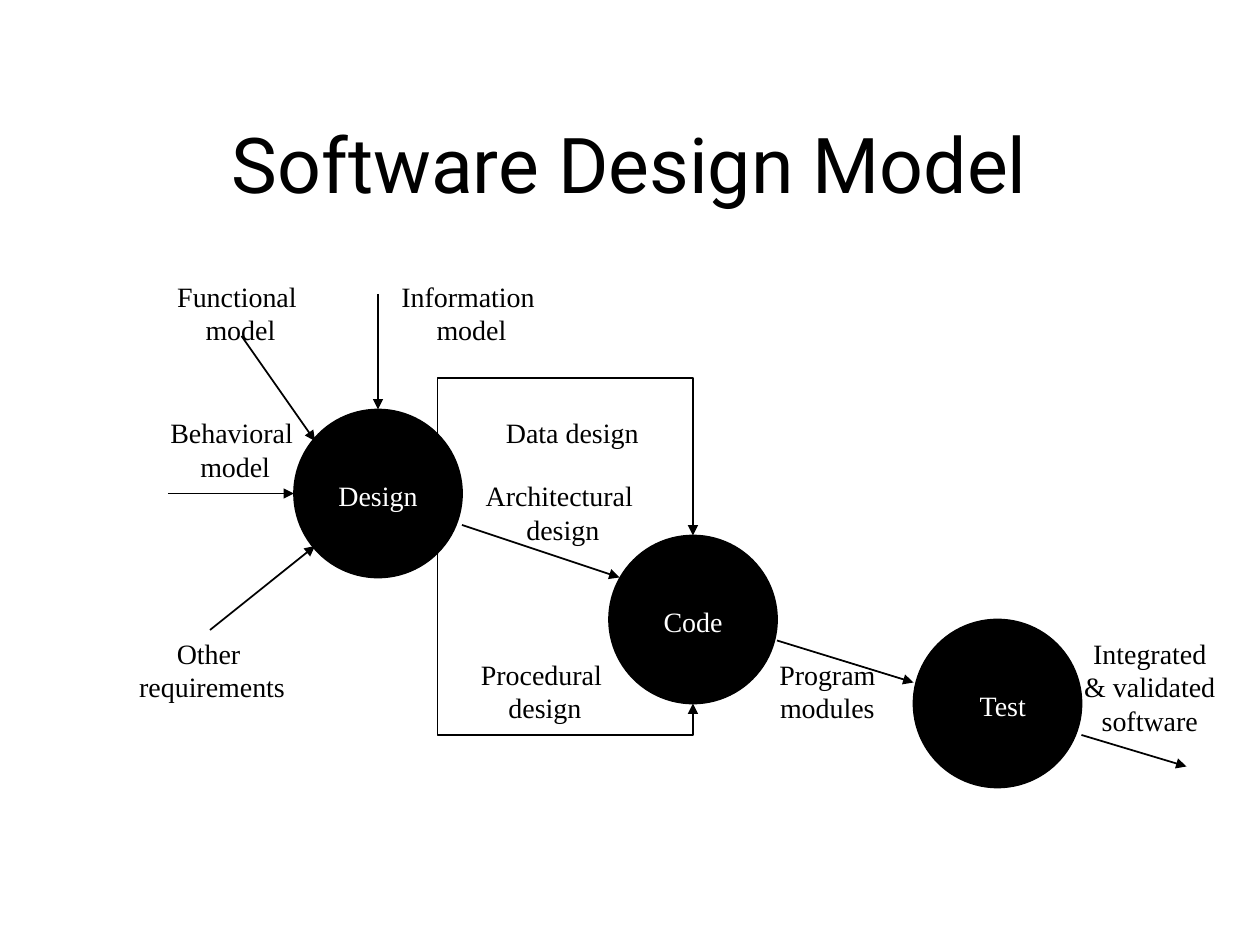
import pptx
import pptx.dml.color
import pptx.enum.shapes
import pptx.enum.text
import pptx.oxml
import pptx.oxml.ns
import pptx.util
import lxml.etree

BLACK = pptx.dml.color.RGBColor(0x00, 0x00, 0x00)
WHITE = pptx.dml.color.RGBColor(0xFF, 0xFF, 0xFF)
CONNECTOR = pptx.enum.shapes.MSO_CONNECTOR
qn = pptx.oxml.ns.qn

presentation = pptx.Presentation()
presentation.slide_width = pptx.util.Inches(10)
presentation.slide_height = pptx.util.Inches(7.5)
slide = presentation.slides.add_slide(presentation.slide_layouts[6])

# Grid of 120 columns by 90 rows; its cells are square
CELL = presentation.slide_width / 120
LINE_ROWS = 3.2
MARGIN_ROWS = 1.2


def add_text(lines, left, top, width, height, font_name, size, color):
    box = slide.shapes.add_textbox(*(round(n * CELL) for n in (left, top, width, height)))
    for number, line in enumerate(lines):
        paragraphs = box.text_frame.paragraphs
        paragraph = box.text_frame.add_paragraph() if number else paragraphs[0]
        paragraph.alignment = pptx.enum.text.PP_ALIGN.CENTER
        run = paragraph.add_run()
        run.text = line
        run.font.name = font_name
        run.font.size = pptx.util.Pt(size)
        run.font.color.rgb = color
    return box.text_frame


def add_arrow(kind, start, end):
    arrow = slide.shapes.add_connector(kind, *(round(n * CELL) for n in (*start, *end)))
    arrow.line.color.rgb = BLACK
    arrow.line.width = pptx.util.Pt(1)
    line = arrow.line._get_or_add_ln()
    lxml.etree.SubElement(line, qn("a:tailEnd"), type="triangle")
    lxml.etree.SubElement(arrow._element.spPr, qn("a:effectLst"))
    return arrow


# Title
title = add_text(["Software Design Model"], 9, 8, 102, 15, "Roboto", 44, BLACK)
title.word_wrap = True
title.vertical_anchor = pptx.enum.text.MSO_ANCHOR.MIDDLE

# Stages: design, code, test
for left, top in [(28, 39), (58, 51), (87, 59)]:
    stage = slide.shapes.add_shape(
        pptx.enum.shapes.MSO_SHAPE.OVAL, *(round(n * CELL) for n in (left, top, 16, 16)))
    stage.shadow.inherit = False
    stage.fill.solid()
    stage.fill.fore_color.rgb = BLACK
    stage.line.color.rgb = BLACK
    stage.line.width = pptx.util.Pt(1)

# Straight arrows: four inputs, two hand-overs, one output
for start, end in [
    ((36, 28), (36, 39)),
    ((23, 32), (30, 42)),
    ((16, 47), (28, 47)),
    ((20, 60), (30, 52)),
    ((44, 50), (59, 55)),
    ((74, 61), (87, 65)),
    ((103, 70), (113, 73)),
]:
    add_arrow(CONNECTOR.STRAIGHT, start, end)

# Bent arrows from design to code: drawn lying down, then turned upright
for start, end, bend_row in [
    ((41.66, 41.34), (66, 51), 36),
    ((41.66, 52.66), (66, 67), 70),
]:
    across, down = end[0] - start[0], end[1] - start[1]
    middle_x, middle_y = (start[0] + end[0]) / 2, (start[1] + end[1]) / 2
    arrow = add_arrow(
        CONNECTOR.ELBOW,
        (middle_x + down / 2, middle_y - across / 2),
        (middle_x - down / 2, middle_y + across / 2))
    arrow._element.spPr.find(qn("a:xfrm")).set("rot", str(270 * 60000))
    geometry = arrow._element.spPr.find(qn("a:prstGeom"))
    adjustments = geometry.find(qn("a:avLst"))
    if adjustments is None:
        adjustments = lxml.etree.SubElement(geometry, qn("a:avLst"))
    share = round((bend_row - start[1]) / down * 100000)
    lxml.etree.SubElement(adjustments, qn("a:gd"), name="adj1", fmla=f"val {share}")

# Labels: lines, centre column, top row, width (a little wider than the text), colour
for lines, centre, top, width, color in [
    (["Information ", "model"], 44.9, 26, 16, BLACK),
    (["Functional ", "model"], 22.9, 26, 14.8, BLACK),
    (["Behavioral ", "model"], 22.4, 39, 15.1, BLACK),
    (["Other ", "requirements"], 20.2, 60, 16.6, BLACK),
    (["Design"], 36, 45, 10.2, WHITE),
    (["Code"], 66, 57, 8.3, WHITE),
    (["Test"], 95.5, 65, 7.3, WHITE),
    (["Data design"], 54.5, 39, 15.3, BLACK),
    (["Architectural ", "design"], 53.6, 45, 17.4, BLACK),
    (["Procedural ", "design"], 51.9, 62, 14.9, BLACK),
    (["Program", "modules"], 78.8, 62, 12, BLACK),
    (["Integrated", "& validated", "software"], 109.5, 60, 15.2, BLACK),
]:
    label = add_text(lines, centre - width / 2, top, width,
                     MARGIN_ROWS + LINE_ROWS * len(lines), "Times New Roman", 16, color)
    label.word_wrap = False
    label.auto_size = pptx.enum.text.MSO_AUTO_SIZE.SHAPE_TO_FIT_TEXT

presentation.save("out.pptx")
